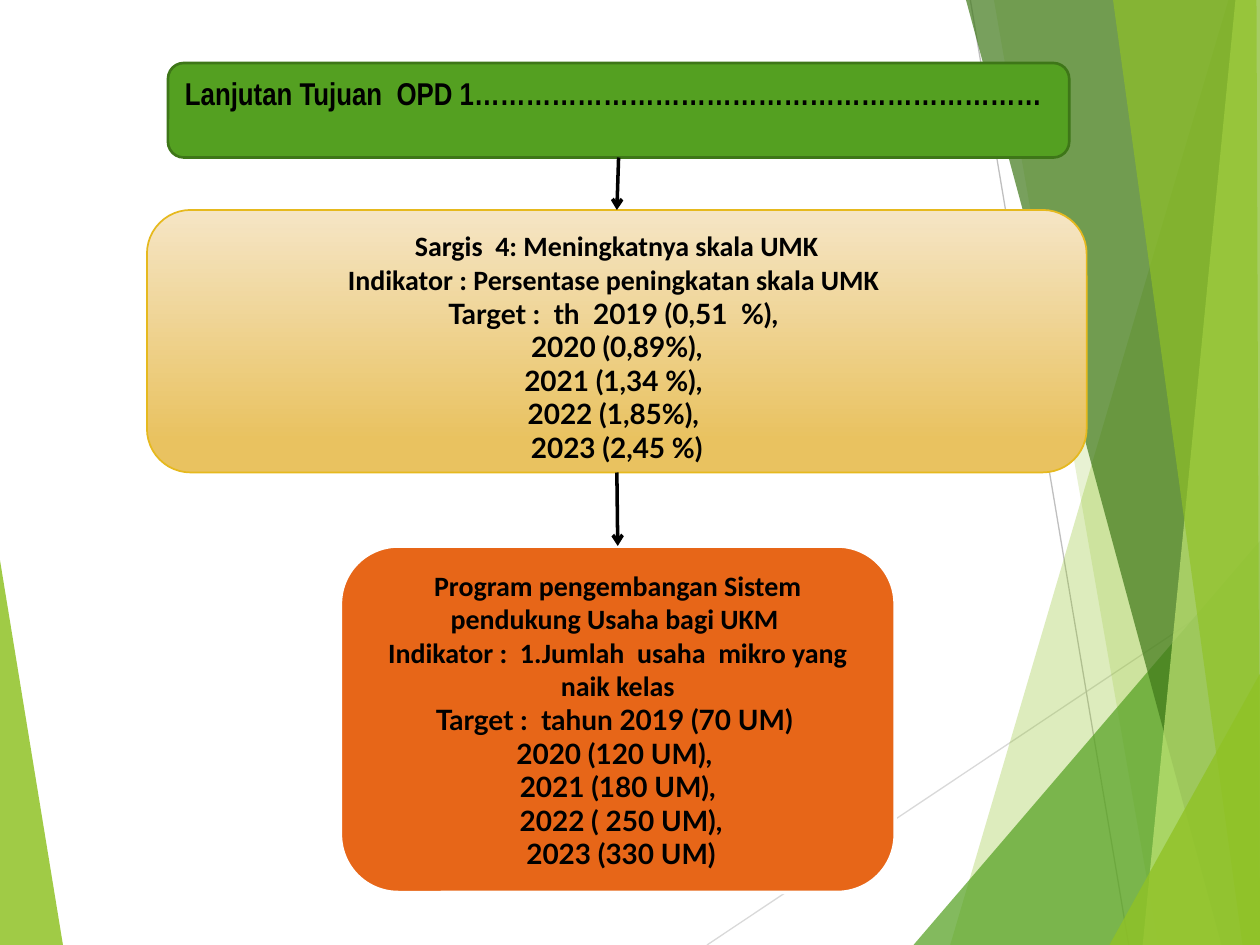
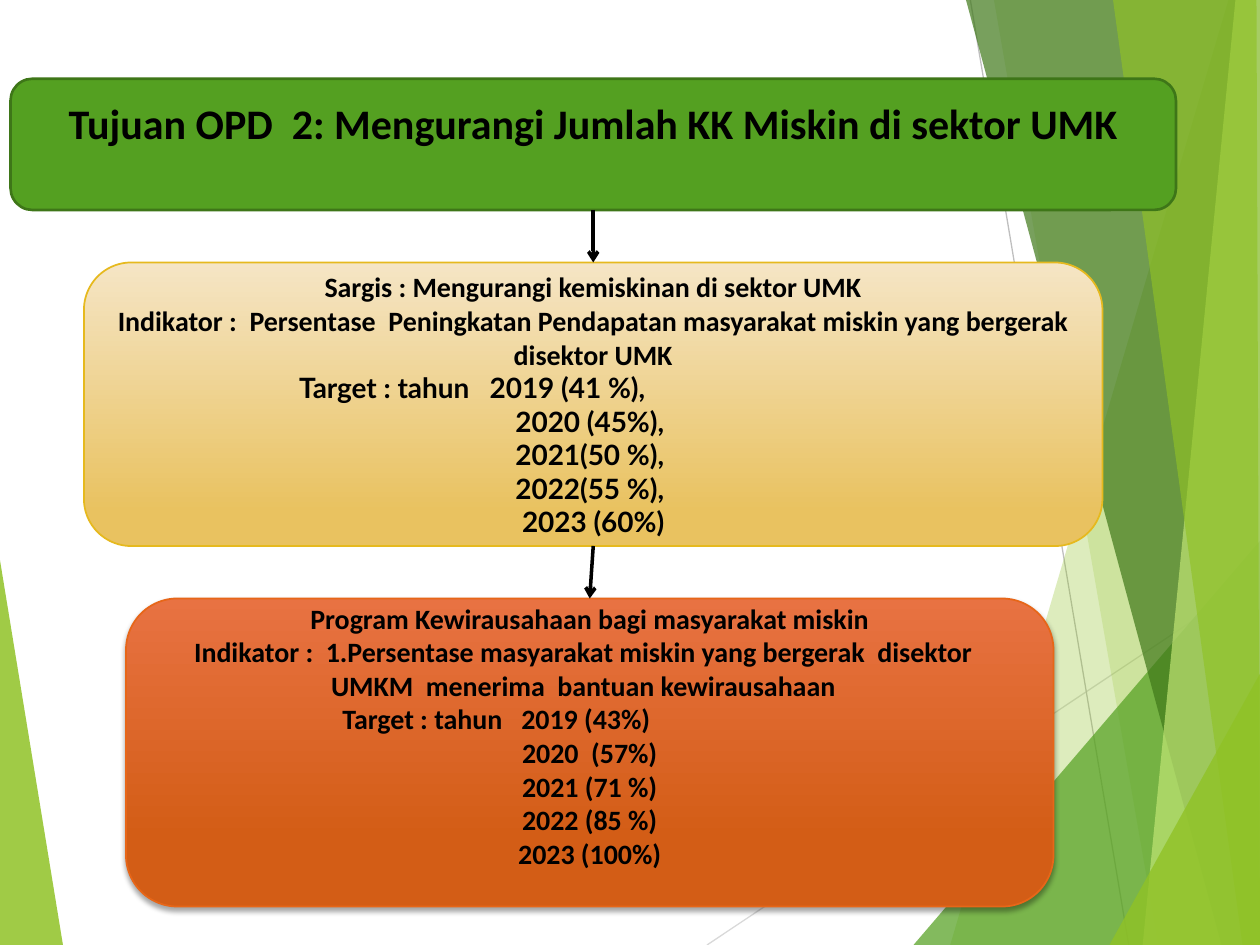
import dataclasses

import lxml.etree
import pptx
import pptx.dml.color
import pptx.enum.shapes
import pptx.enum.text
import pptx.oxml.ns
import pptx.util

Pt = pptx.util.Pt
RGBColor = pptx.dml.color.RGBColor
qn = pptx.oxml.ns.qn
Align = pptx.enum.text.PP_ALIGN
Anchor = pptx.enum.text.MSO_ANCHOR

WIDTH, HEIGHT = 720, 540
BLACK = RGBColor(0x00, 0x00, 0x00)
WHITE = RGBColor(0xFF, 0xFF, 0xFF)
PALE_GREY = RGBColor(0xD9, 0xD9, 0xD9)
GREY = RGBColor(0xBF, 0xBF, 0xBF)
LIME = RGBColor(0x90, 0xC2, 0x26)
PALE_LIME = RGBColor(0xC0, 0xE4, 0x74)
GREEN = RGBColor(0x54, 0xA0, 0x21)
DARK_GREEN = RGBColor(0x3F, 0x78, 0x19)
GREEN_EDGE = RGBColor(0x3E, 0x76, 0x18)
CREAM = RGBColor(0xF5, 0xE5, 0xC5)
GOLD = RGBColor(0xE9, 0xC2, 0x60)
GOLD_EDGE = RGBColor(0xE6, 0xB9, 0x1E)
ORANGE = RGBColor(0xE7, 0x66, 0x18)
CORAL = RGBColor(0xE8, 0x72, 0x42)
RUST = RGBColor(0xD3, 0x5D, 0x16)

# Background lines: start, end, colour
THIN_LINES = [
    ((404, 540), (720, 329), PALE_GREY),
    ((554.5, 0), (645, 540), GREY),
]
# Background facets: colour, opacity in percent, corners
FACETS = [
    (LIME, 85, [(0, 320), (35.5, 540), (0, 540)]),
    (LIME, 30, [(702, 0), (543, 540), (720, 540), (720, 0)]),
    (LIME, 20, [(567.5, 0), (661.5, 540), (720, 540), (720, 0)]),
    (GREEN, 72, [(522.5, 540), (720, 309), (720, 540)]),
    (DARK_GREEN, 70, [(552, 0), (698.5, 540), (720, 540), (720, 0)]),
    (PALE_LIME, 70, [(706.5, 0), (653, 540), (720, 540), (720, 0)]),
    (LIME, 65, [(636, 0), (710, 540), (720, 540), (718.5, 0)]),
    (LIME, 80, [(634.5, 540), (720, 385), (720, 540)]),
]


@dataclasses.dataclass
class Style:
    """Look of a box; two fill colours make a gradient ending at gradient_end."""
    fill: tuple
    edge: RGBColor
    edge_width: float
    gradient_end: float = 1.0
    shadow: bool = False


GOAL = Style((GREEN,), GREEN_EDGE, 1.5)
TARGET = Style((CREAM, GOLD), GOLD_EDGE, 1, 0.88)
PROGRAM_FLAT = Style((ORANGE,), WHITE, 2)
PROGRAM_SHADED = Style((CORAL, RUST), ORANGE, 1, 0.78, True)


@dataclasses.dataclass
class Box:
    """Lines in `lines` use `font`; those in `years` use `years_font`."""
    style: Style
    frame: tuple
    lines: list
    years: list = dataclasses.field(default_factory=list)
    font: str = "Calibri"
    years_font: str = "Lato"
    size: float = 16
    align: Align = Align.CENTER
    anchor: Anchor = Anchor.MIDDLE
    margin_bottom: float = 3.6
    first_year_indent: float = 0


FLOWS = [
    [
        Box(GOAL, (96, 36, 515, 54),
            ["Lanjutan Tujuan  OPD 1…………………………………………………………"],
            font="Arial Narrow", size=18, align=Align.LEFT, anchor=Anchor.TOP),
        Box(TARGET, (84, 120, 537, 150),
            ["Sargis  4: Meningkatnya skala UMK",
             "Indikator : Persentase peningkatan skala UMK "],
            ["Target :  th  2019 (0,51  %), ", " 2020 (0,89%), ",
             "2021 (1,34 %), ", "2022 (1,85%), ", "2023 (2,45 %)"],
            anchor=Anchor.TOP),
        Box(PROGRAM_FLAT, (194.5, 312, 317, 198),
            ["Program pengembangan Sistem pendukung Usaha bagi UKM ",
             "Indikator :  1.Jumlah  usaha  mikro yang naik kelas"],
            ["Target :  tahun 2019 (70 UM) ", "2020 (120 UM), ",
             "2021 (180 UM),", " 2022 ( 250 UM),", " 2023 (330 UM)"]),
    ],
    [
        Box(GOAL, (6, 45, 666, 75),
            ["Tujuan OPD  2: Mengurangi Jumlah KK Miskin di sektor UMK"],
            size=24, margin_bottom=28),
        Box(TARGET, (48, 150, 582, 162),
            ["Sargis : Mengurangi kemiskinan di sektor UMK",
             "Indikator :  Persentase  Peningkatan Pendapatan masyarakat miskin "
             "yang bergerak disektor UMK"],
            ["Target : tahun   2019 (41 %),", "2020 (45%), ", "2021(50 %), ",
             "2022(55 %), ", "2023 (60%)"],
            first_year_indent=108),
        Box(PROGRAM_SHADED, (72, 342, 530, 176),
            ["Program Kewirausahaan bagi masyarakat miskin",
             "Indikator :  1.Persentase masyarakat miskin yang bergerak  disektor   "
             "UMKM  menerima  bantuan kewirausahaan  "],
            ["Target : tahun   2019 (43%)", "2020  (57%)", "2021 (71 %)",
             "2022 (85 %)", "2023 (100%)"],
            years_font="Calibri", margin_bottom=23, first_year_indent=108),
    ],
]


def add_line(slide, start, end, color, width):
    line = slide.shapes.add_connector(
        pptx.enum.shapes.MSO_CONNECTOR.STRAIGHT,
        *(Pt(value) for value in (*start, *end)))
    line.line.color.rgb = color
    line.line.width = Pt(width)
    lxml.etree.SubElement(line._element.spPr, qn("a:effectLst"))
    return line


def add_box(slide, box):
    style = box.style
    shape = slide.shapes.add_shape(
        pptx.enum.shapes.MSO_SHAPE.ROUNDED_RECTANGLE,
        *(Pt(value) for value in box.frame))
    if len(style.fill) == 2:
        shape.fill.gradient()
        shape.fill.gradient_angle = 270
        stops = shape.fill.gradient_stops
        for stop, color, position in zip(stops, style.fill, (0, style.gradient_end)):
            stop.color.rgb = color
            stop.position = position
    else:
        shape.fill.solid()
        shape.fill.fore_color.rgb = style.fill[0]
    shape.line.color.rgb = style.edge
    shape.line.width = Pt(style.edge_width)
    shape.shadow.inherit = False
    if style.shadow:
        effects = shape._element.spPr.find(qn("a:effectLst"))
        shadow = lxml.etree.SubElement(
            effects, qn("a:outerShdw"), blurRad=str(Pt(3)), dist=str(Pt(2)),
            dir="5400000", rotWithShape="0")
        color = lxml.etree.SubElement(shadow, qn("a:srgbClr"), val=str(BLACK))
        lxml.etree.SubElement(color, qn("a:alpha"), val="35000")

    frame = shape.text_frame
    frame.word_wrap = True
    frame.vertical_anchor = box.anchor
    frame.margin_bottom = Pt(box.margin_bottom)
    for index, text in enumerate(box.lines + box.years):
        paragraph = frame.paragraphs[0] if index == 0 else frame.add_paragraph()
        paragraph.text = text
        paragraph.alignment = box.align
        if index == len(box.lines) and box.first_year_indent:
            paragraph.alignment = Align.LEFT
            paragraph._p.get_or_add_pPr().set("marL", str(Pt(box.first_year_indent)))
        is_year = index >= len(box.lines)
        paragraph.font.name = box.years_font if is_year else box.font
        paragraph.font.size = Pt(box.size)
        paragraph.font.bold = True
        paragraph.font.color.rgb = BLACK


presentation = pptx.Presentation()
presentation.slide_width = Pt(WIDTH)
presentation.slide_height = Pt(HEIGHT)

for flow in FLOWS:
    slide = presentation.slides.add_slide(presentation.slide_layouts[6])

    for start, end, color in THIN_LINES:
        add_line(slide, start, end, color, 0.75)
    for color, opacity, corners in FACETS:
        builder = slide.shapes.build_freeform(*corners[0], scale=Pt(1))
        builder.add_line_segments(corners[1:], close=True)
        facet = builder.convert_to_shape()
        facet.fill.solid()
        facet.fill.fore_color.rgb = color
        facet_color = facet._element.spPr.find(".//" + qn("a:srgbClr"))
        lxml.etree.SubElement(facet_color, qn("a:alpha"), val=str(opacity * 1000))
        facet.line.fill.background()
        facet.shadow.inherit = False

    for box in flow:
        add_box(slide, box)

    # Each arrow runs from the bottom centre of a box to the top centre of the next
    for upper, lower in zip(flow, flow[1:]):
        left, top, width, height = upper.frame
        next_left, next_top, next_width, _ = lower.frame
        arrow = add_line(slide, (left + width / 2, top + height),
                         (next_left + next_width / 2, next_top), BLACK, 2)
        lxml.etree.SubElement(arrow.line._get_or_add_ln(), qn("a:tailEnd"), type="arrow")

presentation.save("out.pptx")
